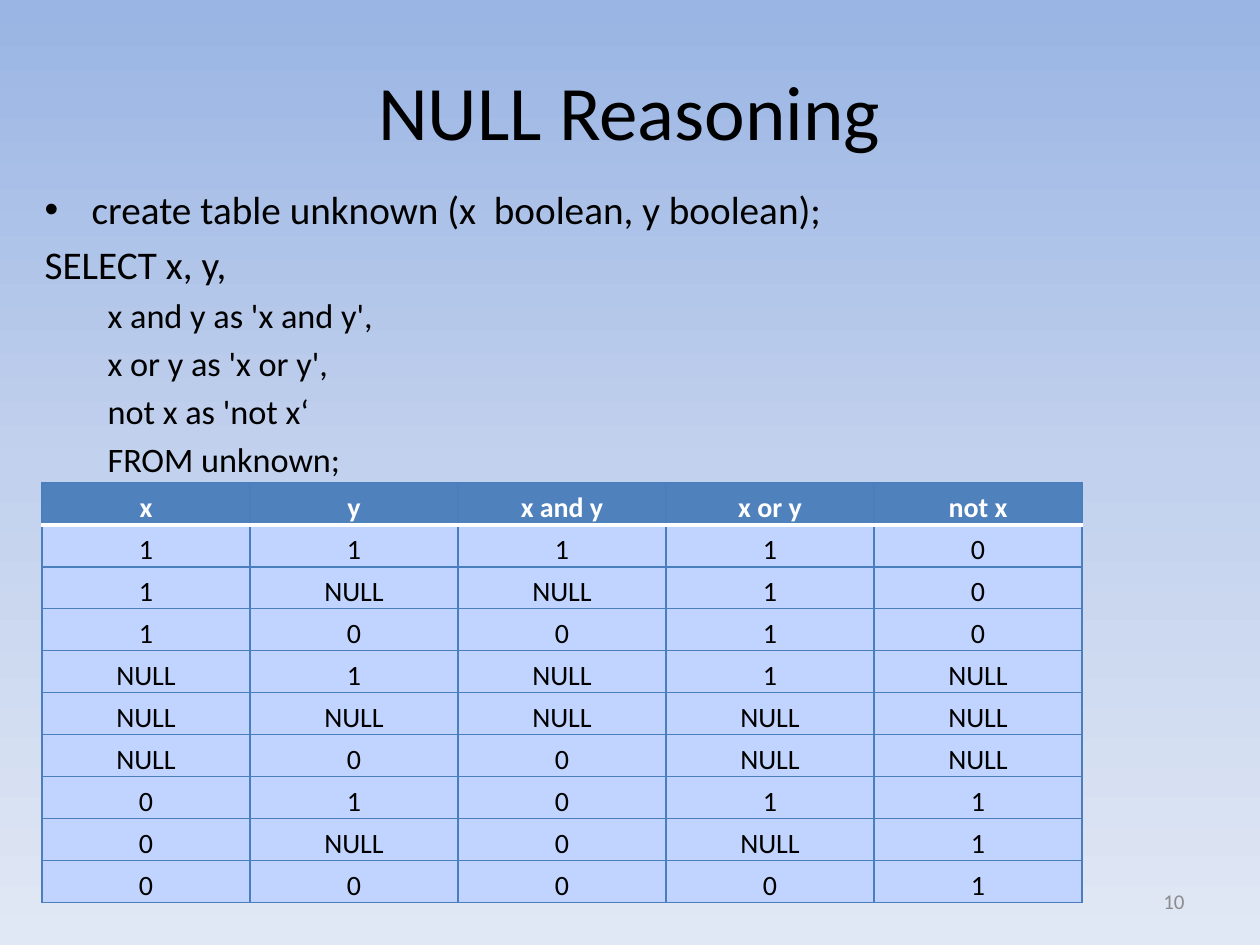
from copy import deepcopy

from lxml.etree import SubElement
from pptx import Presentation
from pptx.dml.color import RGBColor
from pptx.enum.text import MSO_ANCHOR, MSO_AUTO_SIZE, PP_ALIGN
from pptx.oxml import parse_xml
from pptx.oxml.ns import nsdecls, qn
from pptx.util import Pt

# Content
TITLE = "NULL Reasoning"
PAGE_NUMBER = "10"
# text, outline level, bulleted
QUERY = [
    ("create table unknown (x  boolean, y boolean);", 0, True),
    ("SELECT x, y,", 0, False),
    ("x and y as 'x and y',", 1, False),
    ("x or y as 'x or y',", 1, False),
    ("not x as 'not x\u2018", 1, False),
    ("FROM unknown;", 1, False),
]
TRUTH_ROWS = [
    ("x", "y", "x and y", "x or y", "not x"),
    ("1", "1", "1", "1", "0"),
    ("1", "NULL", "NULL", "1", "0"),
    ("1", "0", "0", "1", "0"),
    ("NULL", "1", "NULL", "1", "NULL"),
    ("NULL", "NULL", "NULL", "NULL", "NULL"),
    ("NULL", "0", "0", "NULL", "NULL"),
    ("0", "1", "0", "1", "1"),
    ("0", "NULL", "0", "NULL", "1"),
    ("0", "0", "0", "0", "1"),
]

# Look
FONT = "Calibri"
BLACK = RGBColor(0x00, 0x00, 0x00)
WHITE = RGBColor(0xFF, 0xFF, 0xFF)
GRAY = RGBColor(0x8C, 0x8C, 0x8C)
HEADER_BLUE = RGBColor(0x4F, 0x81, 0xBD)
CELL_BLUE = RGBColor(0xC0, 0xD4, 0xFF)
GRID_BLUE = RGBColor(0x4B, 0x7E, 0xBC)
SKY = [
    (0, RGBColor(0x9A, 0xB5, 0xE4)),
    (0.5, RGBColor(0xC2, 0xD1, 0xED)),
    (1, RGBColor(0xE1, 0xE8, 0xF5)),
]
LEVEL_SIZES = (22.4, 19.6)
LEVEL_INDENTS = (0, 63)
BULLET_INDENT = 47
COLUMN_WIDTH, ROW_HEIGHT = 208, 42
GRID_LINE = (GRID_BLUE, 0.75)
HEADER_RULE = (WHITE, 2)


def px(length):
    return length * 914400 // 126


def place(shape, left, top, width, height):
    shape.left, shape.top = px(left), px(top)
    shape.width, shape.height = px(width), px(height)


def write(paragraph, text, size, color, align=None, bold=False):
    paragraph.alignment = align
    run = paragraph.add_run()
    run.text = text
    run.font.name = FONT
    run.font.size = Pt(size)
    run.font.bold = bold
    run.font.color.rgb = color


def set_borders(cell, lines):
    properties = cell._tc.get_or_add_tcPr()
    for position, (side, (color, width)) in enumerate(lines.items()):
        properties.insert(position, parse_xml(
            f'<a:ln{side} {nsdecls("a")} w="{Pt(width)}"><a:solidFill>'
            f'<a:srgbClr val="{color}"/></a:solidFill></a:ln{side}>'))


prs = Presentation()
prs.slide_width, prs.slide_height = px(1260), px(945)
slide = prs.slides.add_slide(prs.slide_layouts[1])

# Background gradient, top to bottom
sky_fill = slide.background.fill
sky_fill.gradient()
sky_fill.gradient_angle = 270
first_stop = slide.element.find(".//" + qn("a:gs"))
first_stop.addnext(deepcopy(first_stop))
for stop, (position, color) in zip(sky_fill.gradient_stops, SKY):
    stop.position = position
    stop.color.rgb = color

# Title
title = slide.shapes.title
place(title, 94, 42, 1071, 136)
title.text_frame.vertical_anchor = MSO_ANCHOR.MIDDLE
write(title.text_frame.paragraphs[0], TITLE, 44, BLACK, PP_ALIGN.CENTER)

# Query
query = slide.placeholders[1]
place(query, 32, 179, 1050, 284)
query_frame = query.text_frame
query_frame.auto_size = MSO_AUTO_SIZE.NONE
for index, (text, level, bulleted) in enumerate(QUERY):
    line = query_frame.add_paragraph() if index else query_frame.paragraphs[0]
    line.level = level
    write(line, text, LEVEL_SIZES[level], BLACK)
    properties = line._p.get_or_add_pPr()
    hanging = BULLET_INDENT if bulleted else 0
    properties.set("marL", str(px(LEVEL_INDENTS[level] + hanging)))
    properties.set("indent", str(-px(hanging)))
    if bulleted:
        SubElement(properties, qn("a:buChar")).set("char", "\u2022")
    else:
        SubElement(properties, qn("a:buNone"))

# Truth table
row_count, column_count = len(TRUTH_ROWS), len(TRUTH_ROWS[0])
truth_table = slide.shapes.add_table(
    row_count, column_count, px(42), px(483),
    px(COLUMN_WIDTH * column_count), px(ROW_HEIGHT * row_count)).table
truth_table.horz_banding = False
for column in truth_table.columns:
    column.width = px(COLUMN_WIDTH)
for row_index, values in enumerate(TRUTH_ROWS):
    truth_table.rows[row_index].height = px(ROW_HEIGHT)
    is_header = row_index == 0
    for column_index, value in enumerate(values):
        cell = truth_table.cell(row_index, column_index)
        cell.margin_left = cell.margin_right = cell.margin_top = px(1)
        cell.margin_bottom = 0
        cell.vertical_anchor = MSO_ANCHOR.BOTTOM
        cell.fill.solid()
        cell.fill.fore_color.rgb = HEADER_BLUE if is_header else CELL_BLUE
        write(cell.text_frame.paragraphs[0], value, 16,
              WHITE if is_header else BLACK, PP_ALIGN.CENTER, is_header)
        set_borders(cell, {
            "L": GRID_LINE,
            "R": GRID_LINE,
            "T": HEADER_RULE if row_index == 1 else GRID_LINE,
            "B": HEADER_RULE if is_header else GRID_LINE,
        })

# Page number
page_number = slide.shapes.add_textbox(px(903), px(876), px(294), px(50))
page_number.text_frame.word_wrap = True
page_number.text_frame.vertical_anchor = MSO_ANCHOR.MIDDLE
write(page_number.text_frame.paragraphs[0], PAGE_NUMBER, 12, GRAY,
      PP_ALIGN.RIGHT)

prs.save("out.pptx")
